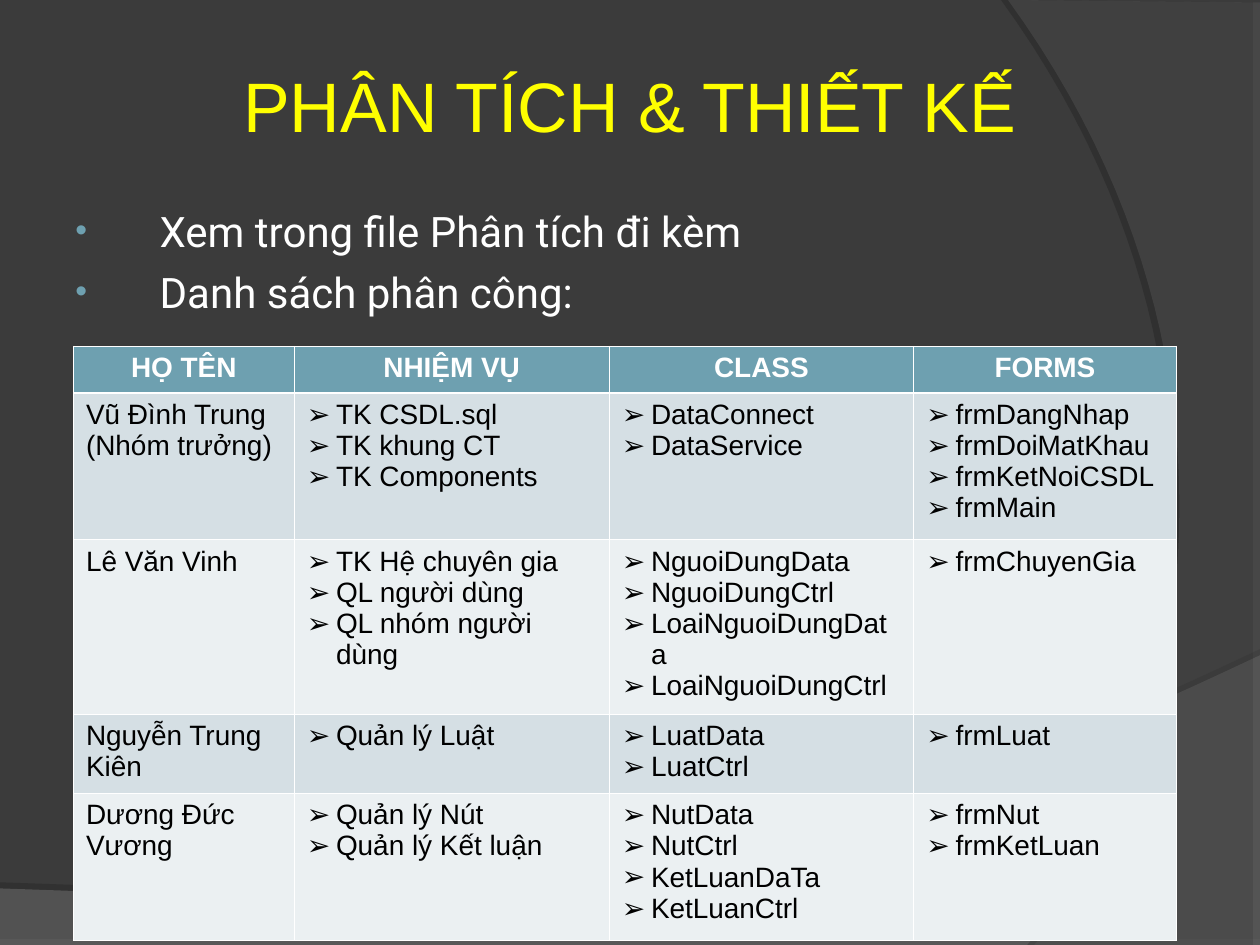
"""Build the analysis and design slide with its table of assigned work."""
from dataclasses import dataclass

from lxml import etree
from pptx import Presentation
from pptx import util as u
from pptx.dml import color
from pptx.enum import text
from pptx.oxml import ns

Point = tuple[float, float]


@dataclass(frozen=True)
class Theme:
    background: str = "3B3B3B"
    title: str = "FFFF00"
    light: str = "FFFFFF"
    dark: str = "000000"
    accent: str = "6EA0B0"
    bands: tuple[str, str] = ("D5DFE4", "EBF0F2")
    font: str = "Arial"
    body_font: str = "Roboto"
    title_size: int = 40
    body_size: int = 24
    table_size: int = 16
    thin: float = 0.45
    thick: float = 1.47


@dataclass(frozen=True)
class Swoosh:
    corners: tuple[Point, ...]
    controls: tuple[Point, Point]
    end: Point
    fill: str
    opacity: int
    shadow_opacity: int
    shadow_distance: float
    shadow_angle: int


@dataclass(frozen=True)
class Member:
    name: tuple[str, ...]
    tasks: tuple[str, ...]
    classes: tuple[str, ...]
    forms: tuple[str, ...]
    height: float


@dataclass(frozen=True)
class Bullet:
    char: str
    colour: str
    indent: float
    percent: int = 100


T = Theme()
SWOOSHES = (
    Swoosh(((0, 17.91), (0, 19.05), (25.4, 19.05), (25.4, 13.21)),
           ((14.2, 18.52), (9.93, 18.26)), (0, 17.91), "7C7C7C", 45, 35, 3.5, 270),
    Swoosh(((25.4, 0.05), (25.4, 19.05), (20.85, 19.05)),
           ((23.75, 15.72), (25.86, 7.62)), (20.32, 0), "595959", 40, 45, 4, 180),
)
POINTS = ("Xem trong file Phân tích đi kèm", "Danh sách phân công:")
HEADERS = ("HỌ TÊN", "NHIỆM VỤ", "CLASS", "FORMS")
WIDTHS = (4.45, 6.35, 6.14, 5.29)
HEADER_HEIGHT = 0.94
MEMBERS = (
    Member(("Vũ Đình Trung", "(Nhóm trưởng)"),
           ("TK CSDL.sql", "TK khung CT", "TK Components"),
           ("DataConnect", "DataService"),
           ("frmDangNhap", "frmDoiMatKhau", "frmKetNoiCSDL", "frmMain"), 2.96),
    Member(("Lê Văn Vinh",),
           ("TK Hệ chuyên gia", "QL người dùng", "QL nhóm người dùng"),
           ("NguoiDungData", "NguoiDungCtrl", "LoaiNguoiDungData", "LoaiNguoiDungCtrl"),
           ("frmChuyenGia",), 3.39),
    Member(("Nguyễn Trung Kiên",), ("Quản lý Luật",),
           ("LuatData", "LuatCtrl"), ("frmLuat",), 1.6),
    Member(("Dương Đức Vương",), ("Quản lý Nút", "Quản lý Kết luận"),
           ("NutData", "NutCtrl", "KetLuanDaTa", "KetLuanCtrl"),
           ("frmNut", "frmKetLuan"), 2.96),
)
BODY_BULLET = Bullet("•", T.accent, 1.7, 80)
TABLE_BULLET = Bullet("➢", T.dark, 0.59)


def rgb(value: str) -> color.RGBColor:
    return color.RGBColor.from_string(value)


def set_all(obj, **values) -> None:
    for name, value in values.items():
        setattr(obj, name, value)


def add_xml(parent, tag: str, **attrs):
    return etree.SubElement(parent, ns.qn(tag), {k: str(v) for k, v in attrs.items()})


def add_colour(parent, value: str, opacity: int = 100) -> None:
    clr = add_xml(parent, "a:srgbClr", val=value)
    if opacity < 100:
        add_xml(clr, "a:alpha", val=opacity * 1000)


def add_bullet(p, bullet: Bullet) -> None:
    ppr = p._p.get_or_add_pPr()
    indent = int(u.Cm(bullet.indent))
    ppr.set("marL", str(indent))
    ppr.set("indent", str(-indent))
    add_colour(add_xml(ppr, "a:buClr"), bullet.colour)
    add_xml(ppr, "a:buSzPct", val=bullet.percent * 1000)
    add_xml(ppr, "a:buFont", typeface=T.font)
    add_xml(ppr, "a:buChar", char=bullet.char)


def write(tf, lines: tuple[str, ...], size: int, colour: str, font: str = T.font,
          bold: bool = False, align=text.PP_ALIGN.LEFT, bullet: Bullet | None = None,
          gap: float = 0) -> None:
    for i, line in enumerate(lines):
        p = tf.add_paragraph() if i else tf.paragraphs[0]
        if bullet:
            add_bullet(p, bullet)
        set_all(p, alignment=align, space_before=u.Pt(gap if i else 0))
        r = p.add_run()
        r.text = line
        set_all(r.font, name=font, size=u.Pt(size), bold=bold)
        r.font.color.rgb = rgb(colour)
        add_xml(p._p, "a:endParaRPr", sz=size * 100)


def curve(start: Point, controls: tuple[Point, Point], end: Point,
          steps: int = 48) -> list[Point]:
    points = []
    for i in range(1, steps + 1):
        t = i / steps
        weights = ((1 - t) ** 3, 3 * t * (1 - t) ** 2, 3 * t * t * (1 - t), t ** 3)
        nodes = (start, *controls, end)
        points.append(tuple(sum(w * n[axis] for w, n in zip(weights, nodes))
                            for axis in (0, 1)))
    return points


def draw_swoosh(s, swoosh: Swoosh) -> None:
    outline = [*swoosh.corners, *curve(swoosh.corners[-1], swoosh.controls, swoosh.end)]
    first, *rest = [(u.Cm(x), u.Cm(y)) for x, y in outline]
    builder = s.shapes.build_freeform(*first)
    builder.add_line_segments(rest, close=True)
    sp = builder.convert_to_shape()
    sp.fill.solid()
    sp.fill.fore_color.rgb = rgb(swoosh.fill)
    sp.line.fill.background()
    clr = sp._element.spPr.find(ns.qn("a:solidFill"))[0]
    add_xml(clr, "a:alpha", val=swoosh.opacity * 1000)
    sp.shadow.inherit = False
    effects = sp._element.spPr.find(ns.qn("a:effectLst"))
    shadow = add_xml(effects, "a:outerShdw", blurRad=0, dist=int(u.Pt(swoosh.shadow_distance)),
                     dir=swoosh.shadow_angle * 60000, algn="ctr", rotWithShape=0)
    add_colour(shadow, T.dark, swoosh.shadow_opacity)


def format_cell(cell, fill: str, top: float, bottom: float) -> None:
    tcpr = cell._tc.get_or_add_tcPr()
    for side, width in {"L": T.thin, "R": T.thin, "T": top, "B": bottom}.items():
        ln = add_xml(tcpr, f"a:ln{side}", w=int(u.Pt(width)))
        add_colour(add_xml(ln, "a:solidFill"), T.light)
    cell.fill.solid()
    cell.fill.fore_color.rgb = rgb(fill)


def draw_table(s) -> None:
    heights = (HEADER_HEIGHT, *(m.height for m in MEMBERS))
    table = s.shapes.add_table(len(heights), len(WIDTHS), u.Cm(1.48), u.Cm(6.98),
                               u.Cm(sum(WIDTHS)), u.Cm(sum(heights))).table
    table.horz_banding = False
    for column, width in zip(table.columns, WIDTHS):
        column.width = u.Cm(width)
    for row, height in zip(table.rows, heights):
        row.height = u.Cm(height)
    for col, header in enumerate(HEADERS):
        cell = table.cell(0, col)
        format_cell(cell, T.accent, T.thin, T.thick)
        write(cell.text_frame, (header,), T.table_size, T.light, bold=True,
              align=text.PP_ALIGN.CENTER)
    for i, m in enumerate(MEMBERS):
        for col, lines in enumerate((m.name, m.tasks, m.classes, m.forms)):
            cell = table.cell(i + 1, col)
            format_cell(cell, T.bands[i % 2], T.thin if i else T.thick, T.thin)
            cell.margin_bottom = u.Cm(0)
            write(cell.text_frame, lines, T.table_size, T.dark,
                  bullet=TABLE_BULLET if col else None)


def main() -> None:
    prs = Presentation()
    set_all(prs, slide_width=u.Cm(25.4), slide_height=u.Cm(19.05))
    s = prs.slides.add_slide(prs.slide_layouts[5])
    s.background.fill.solid()
    s.background.fill.fore_color.rgb = rgb(T.background)
    for swoosh in SWOOSHES:
        draw_swoosh(s, swoosh)
    title = s.shapes.title
    s.shapes._spTree.append(title._element)
    set_all(title, left=u.Cm(1.27), top=u.Cm(0.84), width=u.Cm(22.86), height=u.Cm(2.54))
    margins = dict.fromkeys(("margin_left", "margin_top", "margin_right", "margin_bottom"),
                            u.Cm(0.13))
    set_all(title.text_frame, vertical_anchor=text.MSO_ANCHOR.MIDDLE, **margins)
    write(title.text_frame, ("PHÂN TÍCH & THIẾT KẾ",), T.title_size, T.title,
          align=text.PP_ALIGN.CENTER)
    body = s.shapes.add_textbox(u.Cm(1.27), u.Cm(4.01), u.Cm(22.86), u.Cm(13.97))
    body.text_frame.word_wrap = True
    write(body.text_frame, POINTS, T.body_size, T.light, T.body_font,
          bullet=BODY_BULLET, gap=6)
    draw_table(s)
    prs.save("out.pptx")


if __name__ == "__main__":
    main()
